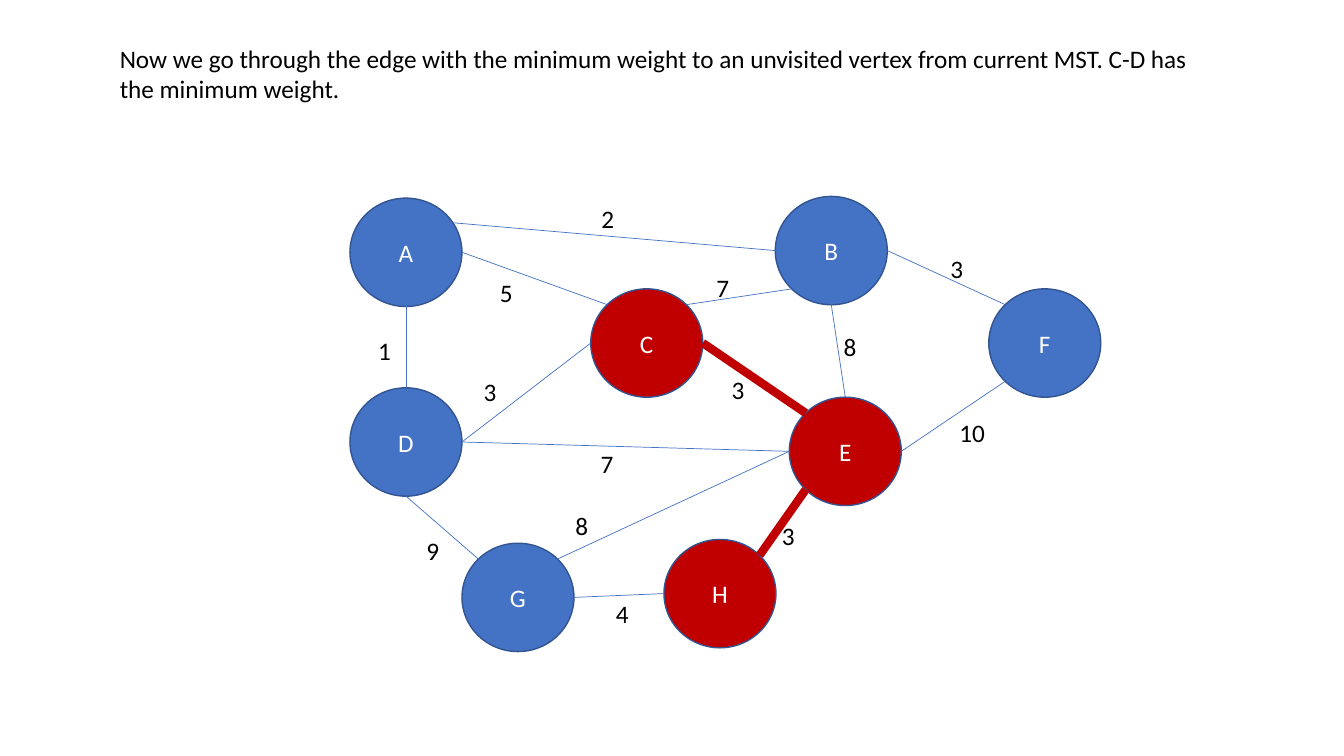
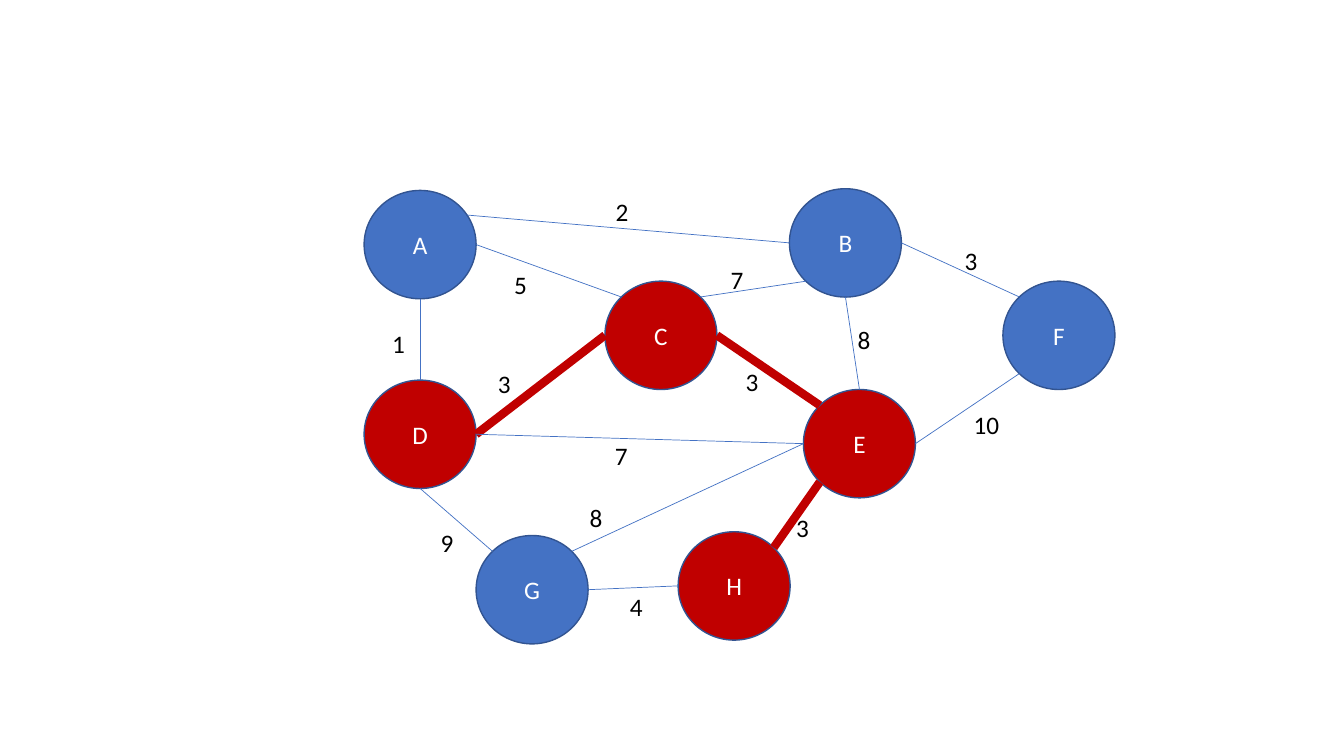
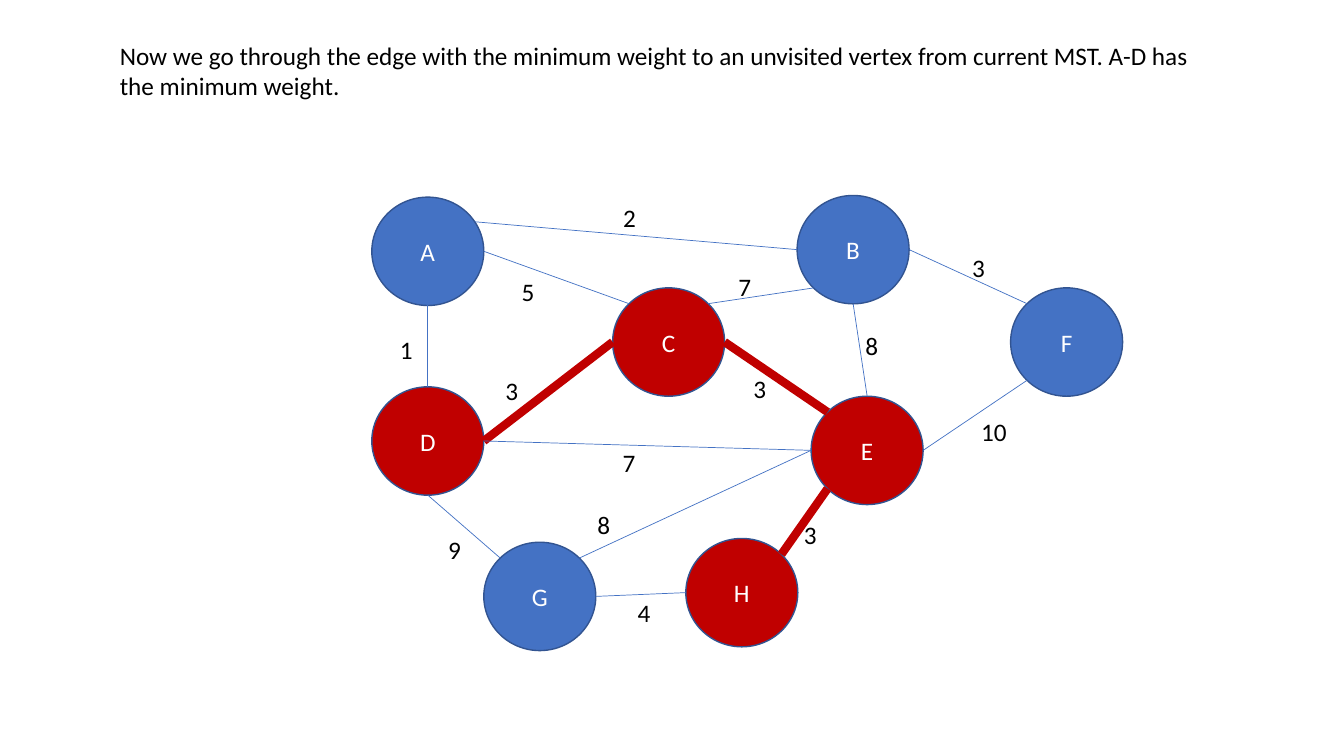
import math
from lxml import etree
from pptx import Presentation
from pptx.dml.color import RGBColor
from pptx.enum import shapes, text
from pptx.oxml.ns import qn
from pptx.util import Pt

# Shared style
FONT, SIZE = "Calibri", 18
BLUE, RED, OUTLINE = "4472C4", "C00000", "325491"
BLACK, WHITE = "000000", "FFFFFF"
NODE_W, NODE_H = 80, 77.4
LABEL_H = 29

# Left and top of each vertex
VERTICES = {
    "A": (250, 141.5), "D": (250, 277), "G": (330, 388), "C": (422, 206.3),
    "B": (553.8, 140.3), "E": (563.8, 283.7), "H": (474.3, 385.3), "F": (706.3, 206.3),
}

# Angles of the points on a circle; the first eight are its connection sites
SITES = {"N": 90, "NW": 135, "W": 180, "SW": 225, "S": 270, "SE": 315,
         "E": 0, "NE": 45, "ENE": 33}
SITE_ORDER = list(SITES)[:8]

# Start vertex and side, end vertex and side, weight, left and top of the weight
EDGES = [
    ("A", "E", "C", "NW", 5, 350, 194.5),
    ("A", "ENE", "B", "W", 2, 422.5, 142),
    ("A", "S", "D", "N", 1, 263, 236.3),
    ("D", "S", "G", "NW", 9, 297.5, 378.7),
    ("G", "E", "H", "W", 4, 432.8, 424),
    ("H", "NE", "E", "SW", 3, 551.5, 368),
    ("E", "E", "F", "SW", 10, 678.2, 294.5),
    ("B", "E", "F", "NW", 3, 671.8, 177.2),
    ("B", "S", "E", "N", 8, 595.5, 233.3),
    ("D", "E", "C", "W", 3, 338.4, 265),
    ("C", "NE", "B", "SW", 7, 504.7, 190.8),
    ("D", "E", "E", "W", 7, 422, 316.8),
    ("C", "E", "E", "NW", 3, 515.5, 263.5),
    ("G", "NE", "E", "W", 8, 404, 360.7),
]

# Each step: graph offset, tree edges, caption (edge named, top, width)
STEPS = [
    {"offset": (0, 0), "tree": {"HE", "CE"}, "caption": ("C-D", 27.4, 798)},
    {"offset": (10.1, -5.5), "tree": {"HE", "CE", "DC"}, "caption": None},
    {"offset": (15.6, -0.7), "tree": {"HE", "CE", "DC"}, "caption": ("A-D", 25.4, 802)},
]
CAPTION = ("Now we go through the edge with the minimum weight to an unvisited "
           "vertex from current MST. {} has the minimum weight.")


def rgb(value):
    return RGBColor.from_string(value)


def write(shape, content, color=BLACK, align=text.PP_ALIGN.LEFT,
          anchor=text.MSO_ANCHOR.TOP):
    frame = shape.text_frame
    frame.word_wrap = True
    frame.vertical_anchor = anchor
    para = frame.paragraphs[0]
    para.alignment = align
    span = para.add_run()
    span.text = content
    span.font.name, span.font.size = FONT, Pt(SIZE)
    span.font.color.rgb = rgb(color)


def add_text(page, content, left, top, width, height):
    box = page.shapes.add_textbox(Pt(left), Pt(top), Pt(width), Pt(height))
    write(box, content)


def add_vertex(page, name, left, top, color):
    node = page.shapes.add_shape(shapes.MSO_SHAPE.OVAL, Pt(left), Pt(top),
                                 Pt(NODE_W), Pt(NODE_H))
    node.shadow.inherit = False
    node.fill.solid()
    node.fill.fore_color.rgb = rgb(color)
    node.line.color.rgb = rgb(OUTLINE)
    node.line.width = Pt(1)
    write(node, name, WHITE, text.PP_ALIGN.CENTER, text.MSO_ANCHOR.MIDDLE)
    return node


def rim_point(node, side):
    angle = math.radians(SITES[side])
    return (round(node.left + node.width / 2 * (1 + math.cos(angle))),
            round(node.top + node.height / 2 * (1 - math.sin(angle))))


def add_edge(page, start, start_side, end, end_side, in_tree):
    line = page.shapes.add_connector(shapes.MSO_CONNECTOR.STRAIGHT,
                                     *rim_point(start, start_side),
                                     *rim_point(end, end_side))
    line.line.color.rgb = rgb(RED if in_tree else BLUE)
    line.line.width = Pt(6 if in_tree else 0.5)
    etree.SubElement(line._element.spPr, qn("a:effectLst"))
    # Join to the circle's own connection sites
    joints = line._element.find(".//" + qn("p:cNvCxnSpPr"))
    for tag, node, side in (("a:stCxn", start, start_side), ("a:endCxn", end, end_side)):
        if side in SITE_ORDER:
            etree.SubElement(joints, qn(tag), id=str(node.shape_id),
                             idx=str(SITE_ORDER.index(side)))


def add_graph(page, offset, tree):
    dx, dy = offset
    visited = set("".join(tree))
    nodes = {name: add_vertex(page, name, left + dx, top + dy,
                              RED if name in visited else BLUE)
             for name, (left, top) in VERTICES.items()}
    for start, start_side, end, end_side, *_ in EDGES:
        add_edge(page, nodes[start], start_side, nodes[end], end_side,
                 start + end in tree)
    for *_, weight, left, top in EDGES:
        add_text(page, str(weight), left + dx, top + dy,
                 28 if weight < 10 else 44.6, LABEL_H)


def main():
    deck = Presentation()
    deck.slide_width, deck.slide_height = Pt(960), Pt(540)
    for step in STEPS:
        page = deck.slides.add_slide(deck.slide_layouts[6])
        add_graph(page, step["offset"], step["tree"])
        if step["caption"]:
            edge, top, width = step["caption"]
            add_text(page, CAPTION.format(edge), 78.5, top, width, 51)
    deck.save("out.pptx")


if __name__ == "__main__":
    main()
